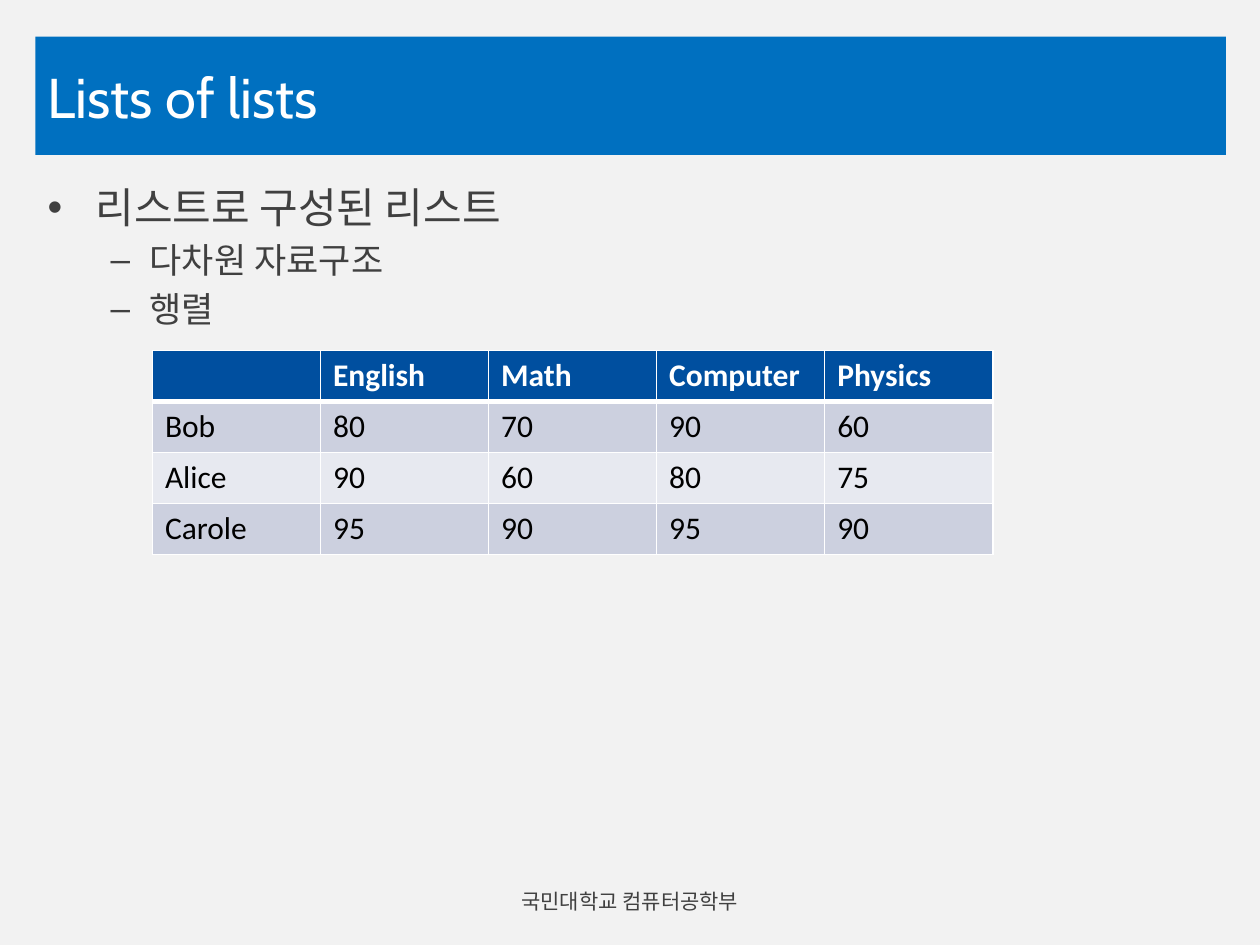
from dataclasses import dataclass

from lxml import etree
from pptx import Presentation
from pptx import util as u
from pptx.dml.color import RGBColor
from pptx.enum import shapes, text
from pptx.oxml.ns import qn


@dataclass(frozen=True)
class Theme:
    """Colours, fonts and type sizes of the slide."""
    paper: str = "F2F2F2"
    banner: str = "0070C0"
    header: str = "004F9F"
    bands: tuple = ("CCD0DF", "E7E9F0")
    white: str = "FFFFFF"
    ink: str = "404040"
    black: str = "000000"
    heading_font: str = "Cabin"
    body_font: str = "Calibri"
    title_size: int = 32
    bullet_sizes: tuple = (24, 20)
    table_size: int = 18
    footer_size: int = 12


class SlideBuilder:
    """Holds the style and the current slide, and draws each kind of element."""

    def __init__(self, theme, page):
        """Keep the theme and the page."""
        self.theme = theme
        self.page = page

    def style(self, para, font, size, color, bold=False):
        """Set the font of one paragraph."""
        para.font.name = font
        para.font.size = u.Pt(size)
        para.font.bold = bold
        para.font.color.rgb = RGBColor.from_string(color)

    def panel(self, place, color):
        """Draw a filled rectangle without an outline."""
        panel = self.page.shapes.add_shape(
            shapes.MSO_SHAPE.RECTANGLE, *map(u.Inches, place))
        panel.shadow.inherit = False
        panel.fill.solid()
        panel.fill.fore_color.rgb = RGBColor.from_string(color)
        panel.line.fill.background()

    def text_box(self, place, anchor=text.MSO_ANCHOR.TOP):
        """Add a wrapping text box and return its frame."""
        frame = self.page.shapes.add_textbox(*map(u.Inches, place)).text_frame
        frame.word_wrap = True
        frame.vertical_anchor = anchor
        return frame

    def label(self, place, wording, size, color, align=text.PP_ALIGN.LEFT):
        """Add one line of vertically centred heading type."""
        para = self.text_box(place, text.MSO_ANCHOR.MIDDLE).paragraphs[0]
        para.text = wording
        para.alignment = align
        self.style(para, self.theme.heading_font, size, color)

    def bullets(self, place, items):
        """Add a bulleted list of (level, wording) items."""
        frame = self.text_box(place)
        marks = (("•", 0.38, 0.38), ("–", 0.81, 0.31))
        for index, (level, wording) in enumerate(items):
            para = frame.add_paragraph() if index else frame.paragraphs[0]
            para.text = wording
            para.level = level
            size = self.theme.bullet_sizes[level]
            para.space_before = u.Pt(size * 0.2)
            self.style(para, self.theme.body_font, size, self.theme.ink)
            mark, margin, hang = marks[level]
            properties = para._p.get_or_add_pPr()
            properties.set("marL", str(u.Inches(margin)))
            properties.set("indent", str(-u.Inches(hang)))
            bullet_font = etree.Element(qn("a:buFont"), typeface="Arial")
            bullet = etree.Element(qn("a:buChar"), char=mark)
            properties.find(qn("a:defRPr")).addprevious(bullet_font)
            bullet_font.addnext(bullet)

    def borders(self, cell, top, bottom):
        """Draw the four cell borders, with top and bottom widths in points."""
        properties = cell._tc.get_or_add_tcPr()
        for side, width in (("L", 1), ("R", 1), ("T", top), ("B", bottom)):
            line = etree.SubElement(
                properties, qn(f"a:ln{side}"), w=str(u.Pt(width)))
            fill = etree.SubElement(line, qn("a:solidFill"))
            etree.SubElement(fill, qn("a:srgbClr"), val=self.theme.white)

    def table(self, place, rows):
        """Add a table with a header row and banded body rows."""
        theme = self.theme
        table = self.page.shapes.add_table(
            len(rows), len(rows[0]), *map(u.Inches, place)).table
        for r, row in enumerate(rows):
            fill = theme.bands[(r - 1) % 2] if r else theme.header
            for c, value in enumerate(row):
                cell = table.cell(r, c)
                cell.text = str(value)
                self.style(cell.text_frame.paragraphs[0], theme.body_font,
                           theme.table_size,
                           theme.black if r else theme.white, bold=r == 0)
                self.borders(cell, 3 if r == 1 else 1, 1 if r else 3)
                cell.fill.solid()
                cell.fill.fore_color.rgb = RGBColor.from_string(fill)


def main():
    """Build the slide and save it."""
    deck = Presentation()
    deck.slide_width, deck.slide_height = u.Inches(10), u.Inches(7.5)
    theme = Theme()
    builder = SlideBuilder(theme, deck.slides.add_slide(deck.slide_layouts[6]))
    banner = (0.28, 0.29, 9.45, 0.94)

    builder.panel((0, 0, 10, 7.5), theme.paper)
    builder.panel(banner, theme.banner)
    builder.label(banner, "Lists of lists", theme.title_size, theme.white)
    builder.bullets((0.28, 1.39, 9.45, 5.28), [
        (0, "리스트로 구성된 리스트"),
        (1, "다차원 자료구조"),
        (1, "행렬"),
    ])
    builder.label((3.11, 6.95, 3.78, 0.4), "국민대학교 컴퓨터공학부",
                  theme.footer_size, theme.ink, text.PP_ALIGN.CENTER)
    builder.table((1.21, 2.78, 6.67, 1.62), [
        ("", "English", "Math", "Computer", "Physics"),
        ("Bob", 80, 70, 90, 60),
        ("Alice", 90, 60, 80, 75),
        ("Carole", 95, 90, 95, 90),
    ])
    deck.save("out.pptx")


if __name__ == "__main__":
    main()
